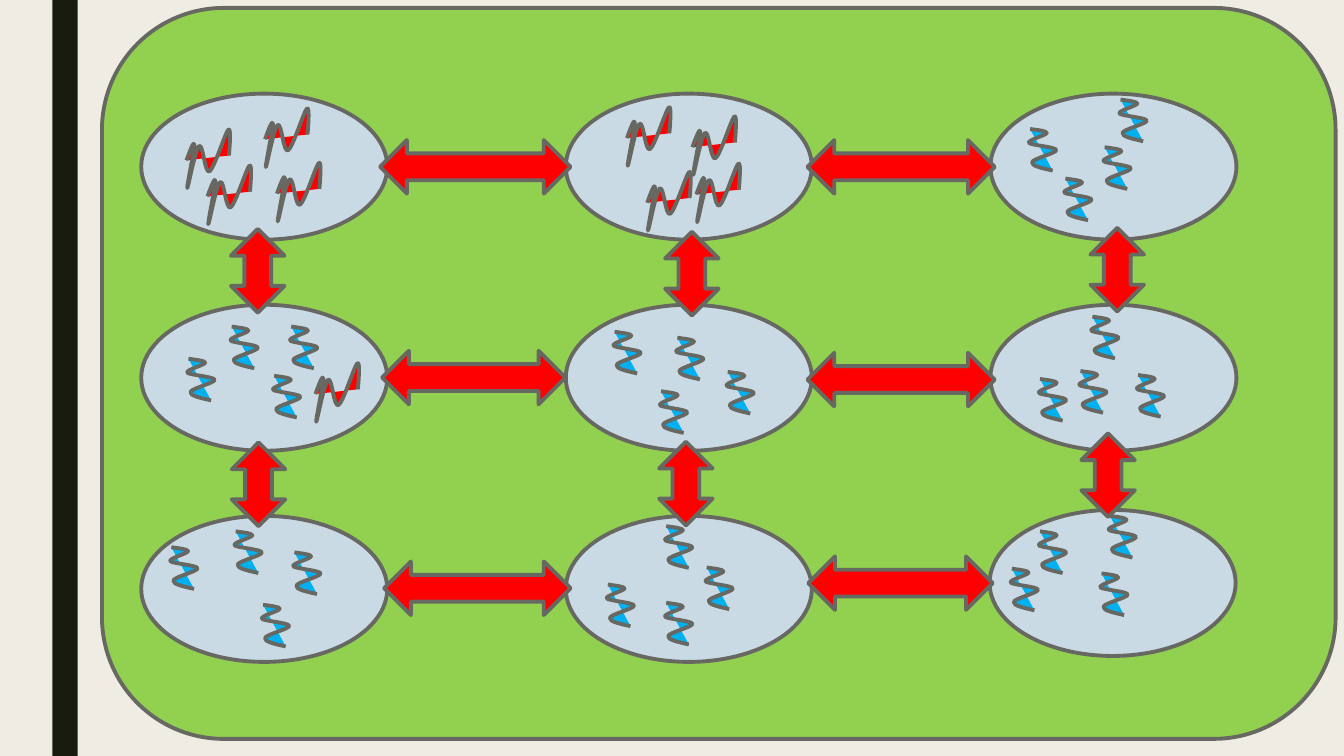
from pptx import Presentation
from pptx.dml.color import RGBColor
from pptx.enum.shapes import MSO_SHAPE
from pptx.oxml.ns import qn
from pptx.oxml.xmlchemy import OxmlElement
from pptx.util import Cm, Pt

RECTANGLE = MSO_SHAPE.RECTANGLE
ROUNDED = MSO_SHAPE.ROUNDED_RECTANGLE
OVAL = MSO_SHAPE.OVAL
DOUBLE_ARROW = MSO_SHAPE.LEFT_RIGHT_ARROW

CREAM = RGBColor(0xEF, 0xED, 0xE3)
DARK = RGBColor(0x19, 0x1B, 0x0E)
GREEN = RGBColor(0x92, 0xD0, 0x50)
PALE_BLUE = RGBColor(0xC9, 0xDA, 0xE4)
RED = RGBColor(0xFF, 0x00, 0x00)
BLUE = RGBColor(0x00, 0xB0, 0xF0)
GRAY = RGBColor(0x68, 0x68, 0x63)

UNITS_PER_CM = 100

BLUE_CURVE = [
    (20, 3), (42, 5), (42, 10),
    (41, 16), (-7, 28), (-3, 35),
    (1, 41), (64, 45), (66, 53),
    (67, 61), (6, 75), (5, 84),
    (3, 93), (30, 99), (57, 105),
]
RED_CURVE = [
    (9, -25), (19, -51), (20, -39),
    (20, -28), (0, 70), (2, 70),
    (4, 71), (22, -29), (32, -36),
    (42, -43), (46, 35), (58, 28),
    (70, 21), (98, -71), (106, -78),
    (114, -84), (107, -12), (107, -12),
]

BLUE_STARTS = [
    (27.84, 3.71), (28.24, 2.51), (26.85, 4.5), (25.96, 3.25),
    (6.91, 9.47), (5.84, 8.23), (4.75, 9.04), (7.34, 8.23),
    (18.34, 9.37), (17.07, 8.51), (16.66, 9.86), (15.49, 8.36),
    (28.68, 9.45), (27.23, 9.35), (26.21, 9.55), (27.53, 7.98),
    (7.42, 13.92), (6.63, 15.24), (4.32, 13.79), (5.94, 13.39),
    (17.81, 14.3), (16.79, 15.19), (16.79, 13.26), (15.32, 14.73),
    (27.97, 13), (27.76, 14.45), (25.5, 14.33), (26.21, 13.39),
]
RED_STARTS = [
    (4.7, 4.04), (6.68, 3.51), (5.23, 4.95), (6.98, 4.88),
    (17.55, 4.9), (17.45, 3.71), (15.8, 3.48), (16.31, 5.11),
    (7.95, 9.93),
]

HORIZONTAL_ARROWS = [
    (9.58, 3.53, 4.8), (20.35, 3.53, 4.72),
    (9.63, 8.84, 4.62), (20.35, 8.89, 4.72),
    (9.68, 14.15, 4.7), (20.37, 14.02, 4.65),
]
VERTICAL_ARROWS = [
    (5.44, 6.15), (16.38, 6.22), (27.1, 6.12),
    (5.46, 11.53), (16.23, 11.51), (26.87, 11.3),
]

prs = Presentation()
prs.slide_width, prs.slide_height = Cm(33.87), Cm(19.05)
slide = prs.slides.add_slide(prs.slide_layouts[6])
slide.background.fill.solid()
slide.background.fill.fore_color.rgb = CREAM


def paint(shape, color):
    shape.shadow.inherit = False
    shape.fill.solid()
    shape.fill.fore_color.rgb = color
    shape.line.color.rgb = GRAY
    shape.line.width = Pt(2.75)


def add_box(kind, left, top, width, height, color):
    shape = slide.shapes.add_shape(kind, Cm(left), Cm(top), Cm(width), Cm(height))
    paint(shape, color)
    return shape


side_bar = add_box(RECTANGLE, 1.32, 0, 0.64, 19.05, DARK)
side_bar.line.fill.background()
add_box(ROUNDED, 2.57, 0.2, 31.09, 18.42, GREEN)

for row in range(3):
    for column in range(3):
        left, top = 3.56 + 10.7 * column, 2.36 + 5.32 * row
        if row == column == 2:
            left, top = 24.94, 12.85
        add_box(OVAL, left, top, 6.2, 3.68, PALE_BLUE)

for left, top, width in HORIZONTAL_ARROWS:
    add_box(DOUBLE_ARROW, left, top, width, 1.35, RED)
for left, top in VERTICAL_ARROWS:
    add_box(DOUBLE_ARROW, left, top, 2.11, 1.35, RED).rotation = 90

for curve, starts, color in [
    (BLUE_CURVE, BLUE_STARTS, BLUE),
    (RED_CURVE, RED_STARTS, RED),
]:
    for x, y in starts:
        builder = slide.shapes.build_freeform(0, 0, scale=Cm(1) / UNITS_PER_CM)
        builder.add_line_segments(curve, close=False)
        squiggle = builder.convert_to_shape(Cm(x), Cm(y))
        paint(squiggle, color)
        outline = next(squiggle.element.iter(qn("a:path")))
        segments = outline.findall(qn("a:lnTo"))
        for index in range(0, len(segments), 3):
            bezier = OxmlElement("a:cubicBezTo")
            for segment in segments[index:index + 3]:
                bezier.append(segment[0])
                outline.remove(segment)
            outline.append(bezier)

prs.save("out.pptx")
